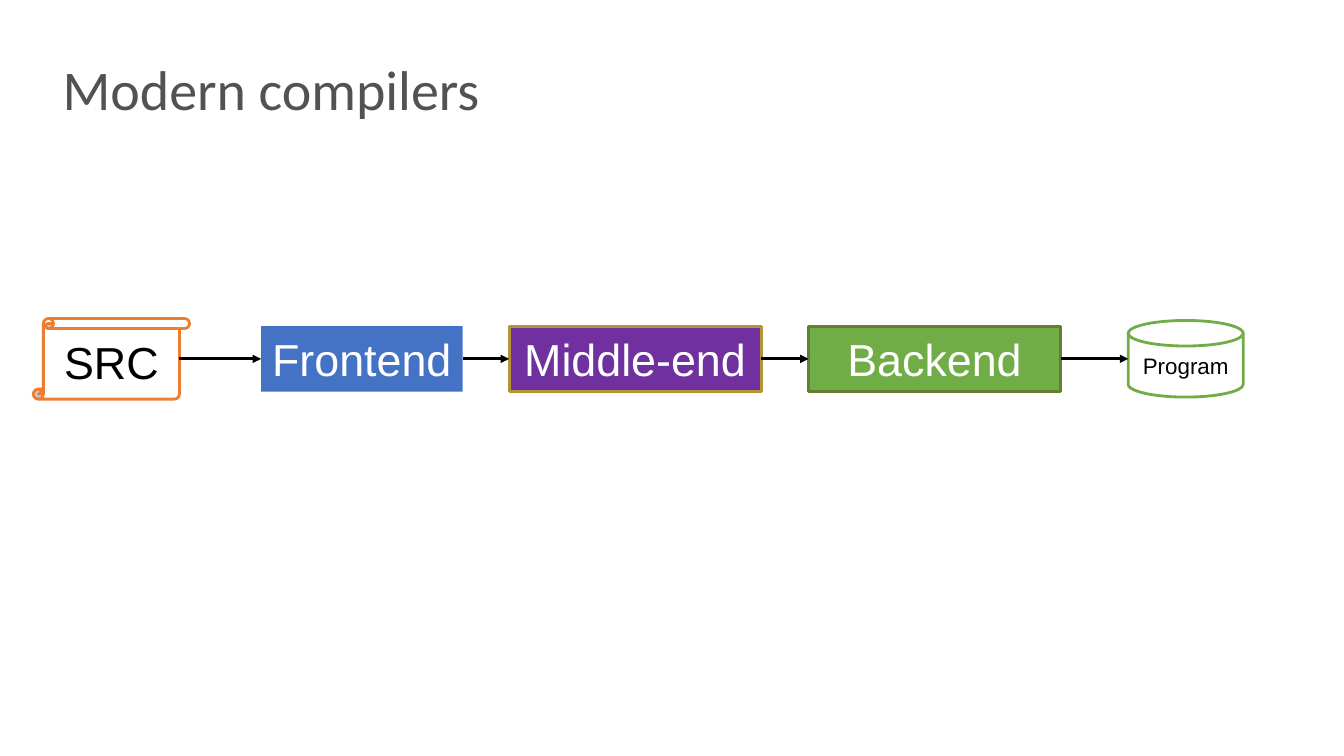
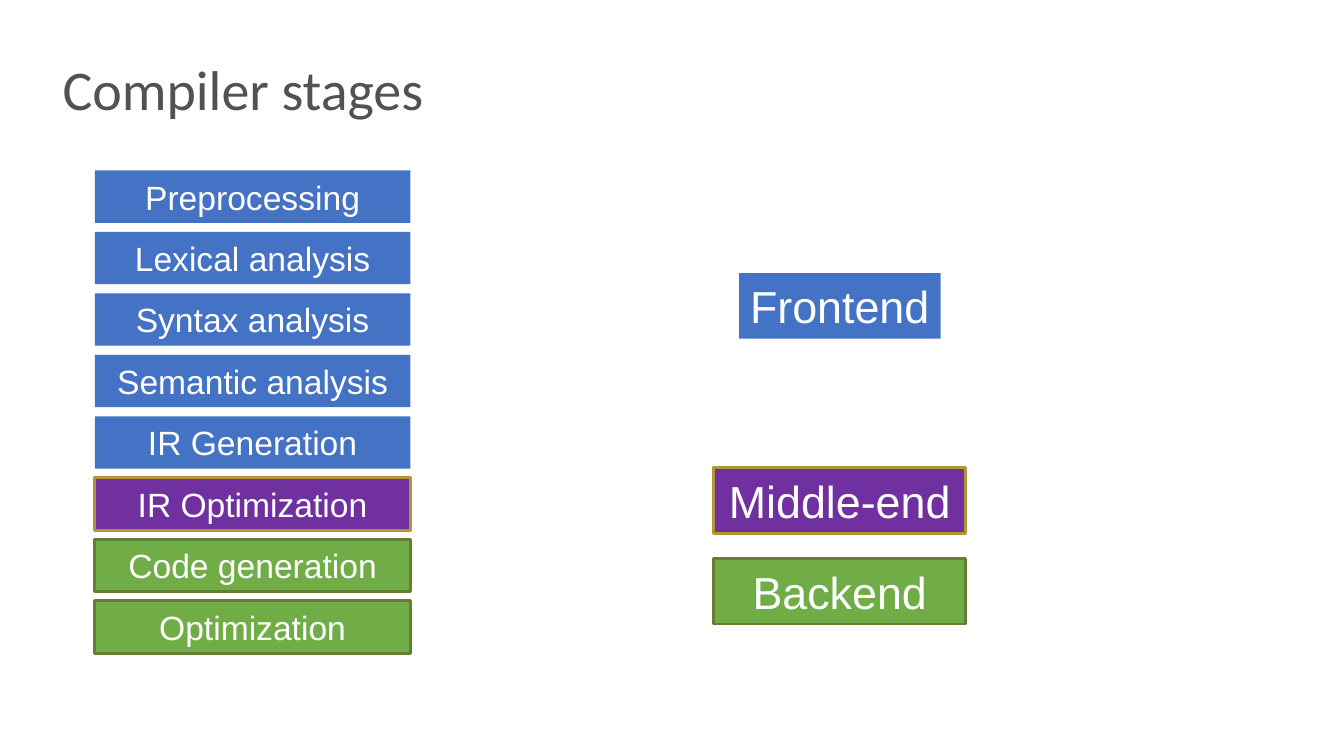
from dataclasses import dataclass, replace

import pptx
import pptx.dml.color
import pptx.enum.shapes
import pptx.enum.text
import pptx.oxml
import pptx.oxml.ns
import pptx.presentation
import pptx.shapes.autoshape
import pptx.slide
import pptx.util

Inches = pptx.util.Inches
Pt = pptx.util.Pt
SHAPE = pptx.enum.shapes.MSO_SHAPE
ALIGN = pptx.enum.text.PP_ALIGN
ANCHOR = pptx.enum.text.MSO_ANCHOR
FIT = pptx.enum.text.MSO_AUTO_SIZE

WHITE, BLACK, GREY = "FFFFFF", "000000", "525252"
LINE_WIDTH = 2
MARGINS = ("margin_left", "margin_top", "margin_right", "margin_bottom")
TITLE_PLACE = {"left": Inches(0.62), "top": Inches(0.62),
               "width": Inches(12.04), "height": Inches(1.04)}
TITLE_FRAME = {"vertical_anchor": ANCHOR.TOP, "word_wrap": True,
               "auto_size": FIT.NONE, **dict.fromkeys(MARGINS, Inches(0))}
BOX_FRAME = {"vertical_anchor": ANCHOR.MIDDLE, "word_wrap": True,
             "auto_size": FIT.SHAPE_TO_FIT_TEXT,
             **dict.fromkeys(MARGINS, Inches(0.06))}


@dataclass(frozen=True)
class Style:
    fill: str
    line: str | None = None
    text: str = WHITE
    shape: SHAPE = SHAPE.RECTANGLE


@dataclass(frozen=True)
class Box:
    text: str
    style: Style
    width: float
    height: float = 0.65
    size: int = 32


FRONT = Style("4472C4")
MIDDLE = Style("7030A0", "B39436")
BACK = Style("70AD47", "657E33")
SOURCE = Style(WHITE, "ED7D31", BLACK, SHAPE.VERTICAL_SCROLL)
TARGET = Style(WHITE, "70AD47", BLACK, SHAPE.FLOWCHART_MAGNETIC_DISK)

FRONTEND = Box("Frontend", FRONT, 2)
MIDDLE_END = Box("Middle-end", MIDDLE, 2.5)
BACKEND = Box("Backend", BACK, 2.5)

PIPELINE = [
    (0.33, Box("SRC", SOURCE, 1.55, 0.8)),
    (2.59, FRONTEND),
    (5.05, MIDDLE_END),
    (8.02, BACKEND),
    (11.19, Box("Program", TARGET, 1.14, 0.76, 16)),
]
PIPELINE_MID = 3.56
SCROLL_INSET = 0.1

STAGES = [
    ("Preprocessing", FRONT),
    ("Lexical analysis", FRONT),
    ("Syntax analysis", FRONT),
    ("Semantic analysis", FRONT),
    ("IR Generation", FRONT),
    ("IR Optimization", MIDDLE),
    ("Code generation", BACK),
    ("Optimization", BACK),
]
STAGE = Box("", FRONT, 3.13, 0.52, 24)
STAGE_LEFT, STAGE_TOP, STAGE_PITCH = 0.94, 1.69, 0.61

PHASES = [(2.71, FRONTEND), (4.64, MIDDLE_END), (5.54, BACKEND)]
PHASE_MID = 8.33


def rgb(value: str) -> pptx.dml.color.RGBColor:
    return pptx.dml.color.RGBColor.from_string(value)


def set_all(target: object, values: dict) -> None:
    for name, value in values.items():
        setattr(target, name, value)


def write(tf: pptx.text.text.TextFrame, text: str, frame: dict,
          paragraph: dict, font: dict, color: str) -> None:
    set_all(tf, frame)
    p = tf.paragraphs[0]
    set_all(p, paragraph)
    r = p.add_run()
    r.text = text
    set_all(r.font, font)
    r.font.color.rgb = rgb(color)


def add_slide(prs: pptx.presentation.Presentation,
              title: str) -> pptx.slide.Slide:
    s = prs.slides.add_slide(prs.slide_layouts[5])
    sp = s.shapes.title
    set_all(sp, TITLE_PLACE)
    write(sp.text_frame, title, TITLE_FRAME,
          {"alignment": ALIGN.LEFT, "line_spacing": 0.9},
          {"name": "Calibri", "size": Pt(40)}, GREY)
    return s


def add_box(s: pptx.slide.Slide, box: Box, left: float,
            top: float) -> pptx.shapes.autoshape.Shape:
    style = box.style
    sp = s.shapes.add_shape(style.shape, Inches(left), Inches(top),
                            Inches(box.width), Inches(box.height))
    sp.shadow.inherit = False
    sp.fill.solid()
    sp.fill.fore_color.rgb = rgb(style.fill)
    if style.line:
        sp.line.color.rgb = rgb(style.line)
        sp.line.width = Pt(LINE_WIDTH)
    else:
        sp.line.fill.background()
    write(sp.text_frame, box.text, BOX_FRAME, {"alignment": ALIGN.CENTER},
          {"name": "Arial", "size": Pt(box.size)}, style.text)
    return sp


def add_arrow(s: pptx.slide.Slide, start: float, end: float,
              y: float) -> None:
    sp = s.shapes.add_connector(
        pptx.enum.shapes.MSO_CONNECTOR.STRAIGHT,
        Inches(start), Inches(y), Inches(end), Inches(y))
    sp.line.color.rgb = rgb(BLACK)
    sp.line.width = Pt(LINE_WIDTH)
    head = pptx.oxml.parse_xml(
        f'<a:tailEnd {pptx.oxml.ns.nsdecls("a")} type="triangle"/>')
    sp.line._get_or_add_ln().append(head)
    sp._element.spPr.append(pptx.oxml.parse_xml(
        f'<a:effectLst {pptx.oxml.ns.nsdecls("a")}/>'))


def add_pipeline(prs: pptx.presentation.Presentation) -> None:
    s = add_slide(prs, "Modern compilers")
    for left, box in PIPELINE:
        add_box(s, box, left, PIPELINE_MID - box.height / 2)
    for (left, box), (end, _) in zip(PIPELINE, PIPELINE[1:]):
        inset = SCROLL_INSET if box.style is SOURCE else 0
        add_arrow(s, left + box.width - inset, end, PIPELINE_MID)


def add_stages(prs: pptx.presentation.Presentation) -> None:
    s = add_slide(prs, "Compiler stages")
    for i, (text, style) in enumerate(STAGES):
        add_box(s, replace(STAGE, text=text, style=style),
                STAGE_LEFT, STAGE_TOP + i * STAGE_PITCH)
    for top, box in PHASES:
        add_box(s, box, PHASE_MID - box.width / 2, top)


def main() -> None:
    prs = pptx.Presentation()
    prs.slide_width, prs.slide_height = Inches(13.33), Inches(7.5)
    add_pipeline(prs)
    add_stages(prs)
    prs.save("out.pptx")


if __name__ == "__main__":
    main()
